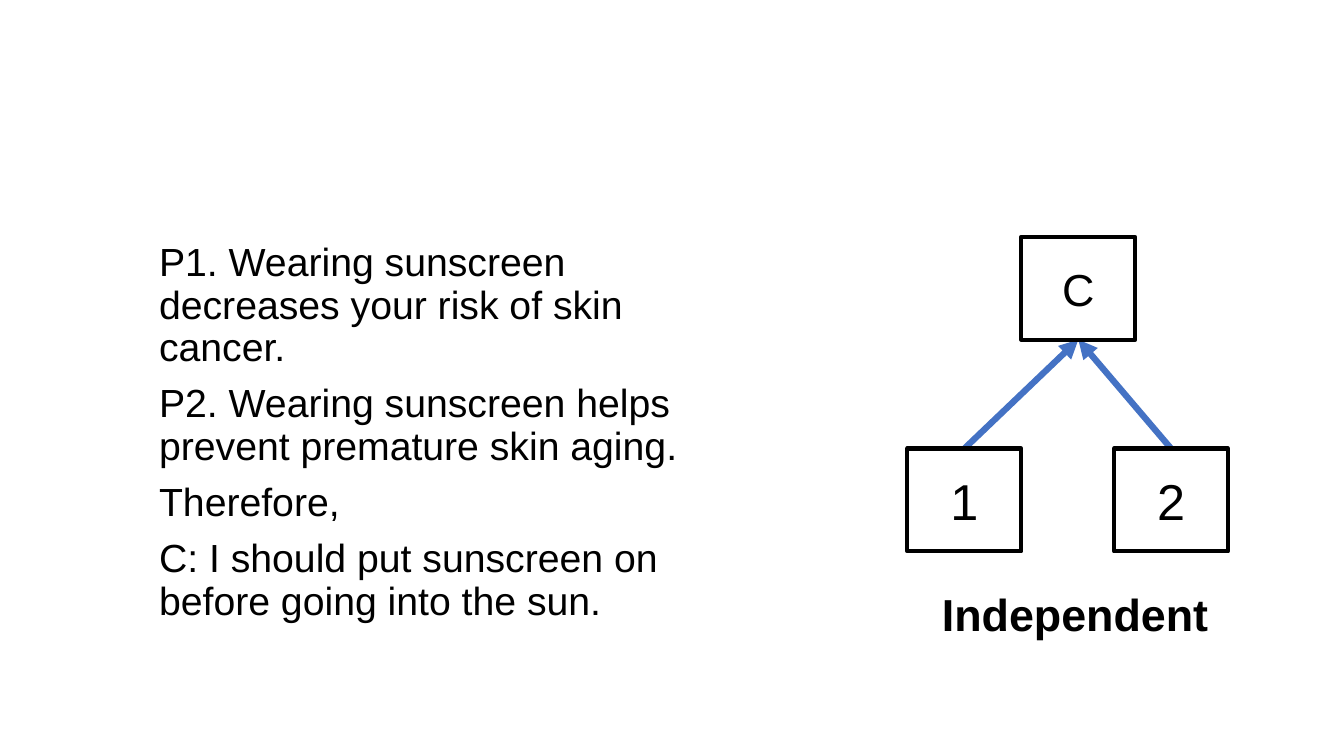
import pptx
import pptx.util
import pptx.dml.color
import pptx.enum.shapes
import pptx.enum.text
from dataclasses import dataclass
from lxml import etree

Inches, Pt = pptx.util.Inches, pptx.util.Pt
Color = pptx.dml.color.RGBColor.from_string
Align = pptx.enum.text.PP_ALIGN


@dataclass
class Theme:
    font: str = "Arial"
    ink: str = "000000"
    blue: str = "4472C4"
    body: int = 28
    label: int = 32
    digit: int = 36
    edge: float = 3
    arrow: float = 4.5


theme = Theme()


def write(frame, *lines, size, bold=False, align=Align.LEFT, space=None, before=None):
    """Fill a text frame, one paragraph for each line."""
    frame.word_wrap = True
    for i, line in enumerate(lines):
        para = frame.add_paragraph() if i else frame.paragraphs[0]
        para.alignment = align
        para.line_spacing = space
        para.space_before = before
        run = para.add_run()
        run.text = line
        run.font.name = theme.font
        run.font.size = Pt(size)
        run.font.bold = bold
        run.font.color.rgb = Color(theme.ink)


deck = pptx.Presentation()
deck.slide_width, deck.slide_height = Inches(13.33), Inches(7.5)
slide = deck.slides.add_slide(deck.slide_layouts[6])
shapes = slide.shapes

# Argument in words
body = shapes.add_textbox(Inches(1.48), Inches(2.36), Inches(6.1), Inches(4.76))
write(
    body.text_frame,
    "P1. Wearing sunscreen decreases your risk of skin cancer.",
    "P2. Wearing sunscreen helps prevent premature skin aging.",
    "Therefore,",
    "C: I should put sunscreen on before going into the sun.",
    size=theme.body, space=0.9, before=Pt(10),
)

# Argument as a diagram: premises point to the conclusion
wide, high = 1.13, 1.02
top, base = 2.35, 4.45
goal = 10.13
premises = {"2": 11.05, "1": 9}
diagram = shapes.add_group_shape()

for left in premises.values():
    arrow = diagram.shapes.add_connector(
        pptx.enum.shapes.MSO_CONNECTOR.STRAIGHT,
        Inches(left + wide / 2), Inches(base),
        Inches(goal + wide / 2), Inches(top + high),
    )
    arrow.line.color.rgb = Color(theme.blue)
    arrow.line.width = Pt(theme.arrow)
    line = arrow.line._get_or_add_ln()
    space = etree.QName(line).namespace
    etree.SubElement(line, f"{{{space}}}tailEnd", type="triangle")
    etree.SubElement(line.getparent(), f"{{{space}}}effectLst")

boxes = [("C", goal, top, theme.label)]
boxes += [(name, premises[name], base, theme.digit) for name in "12"]
for name, left, y, size in boxes:
    box = diagram.shapes.add_shape(
        pptx.enum.shapes.MSO_SHAPE.RECTANGLE,
        Inches(left), Inches(y), Inches(wide), Inches(high),
    )
    box.shadow.inherit = False
    box.fill.background()
    box.line.color.rgb = Color(theme.ink)
    box.line.width = Pt(theme.edge)
    box.text_frame.vertical_anchor = pptx.enum.text.MSO_ANCHOR.MIDDLE
    write(box.text_frame, name, size=size, align=Align.CENTER)

label = shapes.add_textbox(Inches(8.91), Inches(5.77), Inches(3.51), Inches(0.64))
label.text_frame.auto_size = pptx.enum.text.MSO_AUTO_SIZE.SHAPE_TO_FIT_TEXT
write(label.text_frame, "Independent", size=theme.label, bold=True, align=Align.CENTER)

deck.save("out.pptx")
